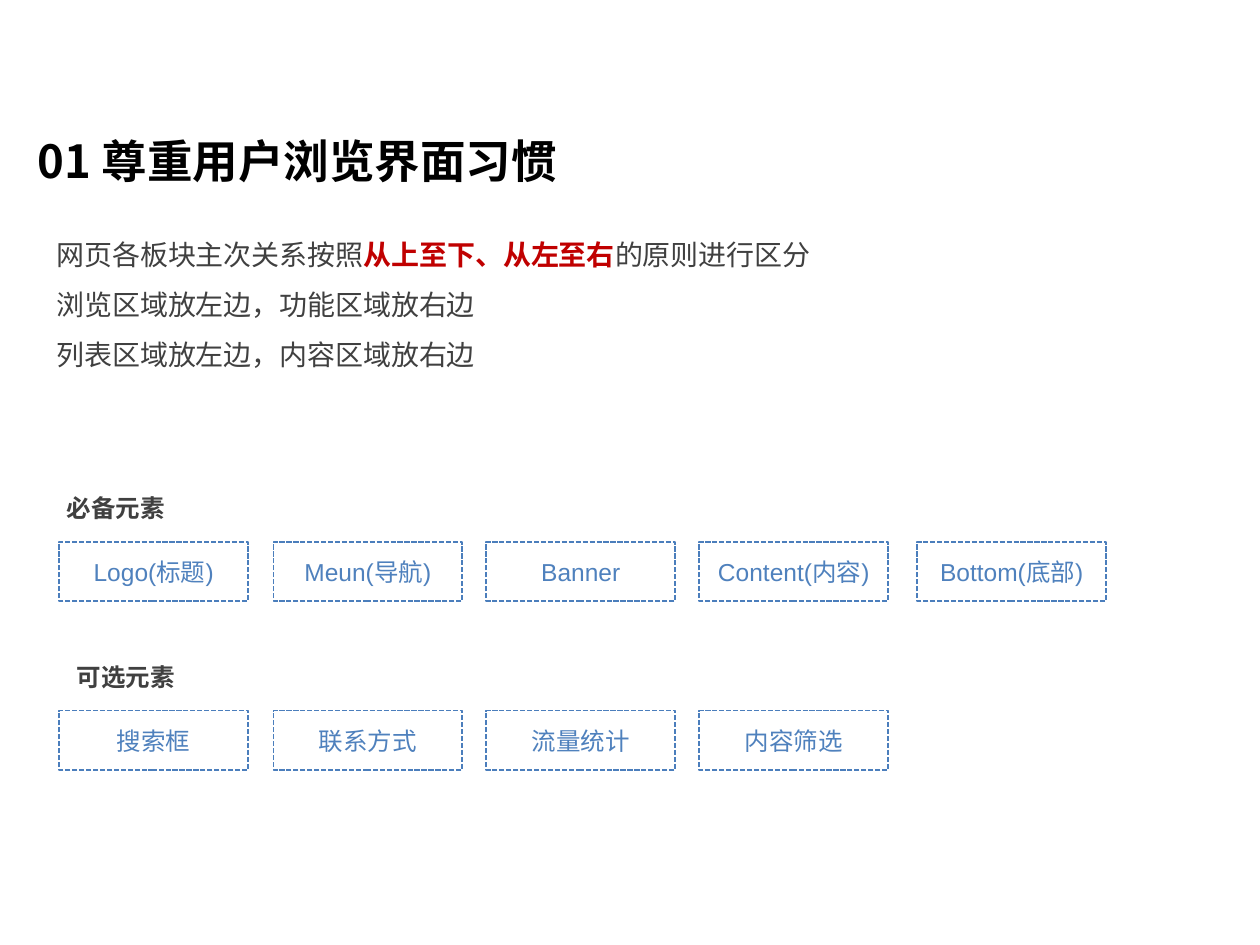
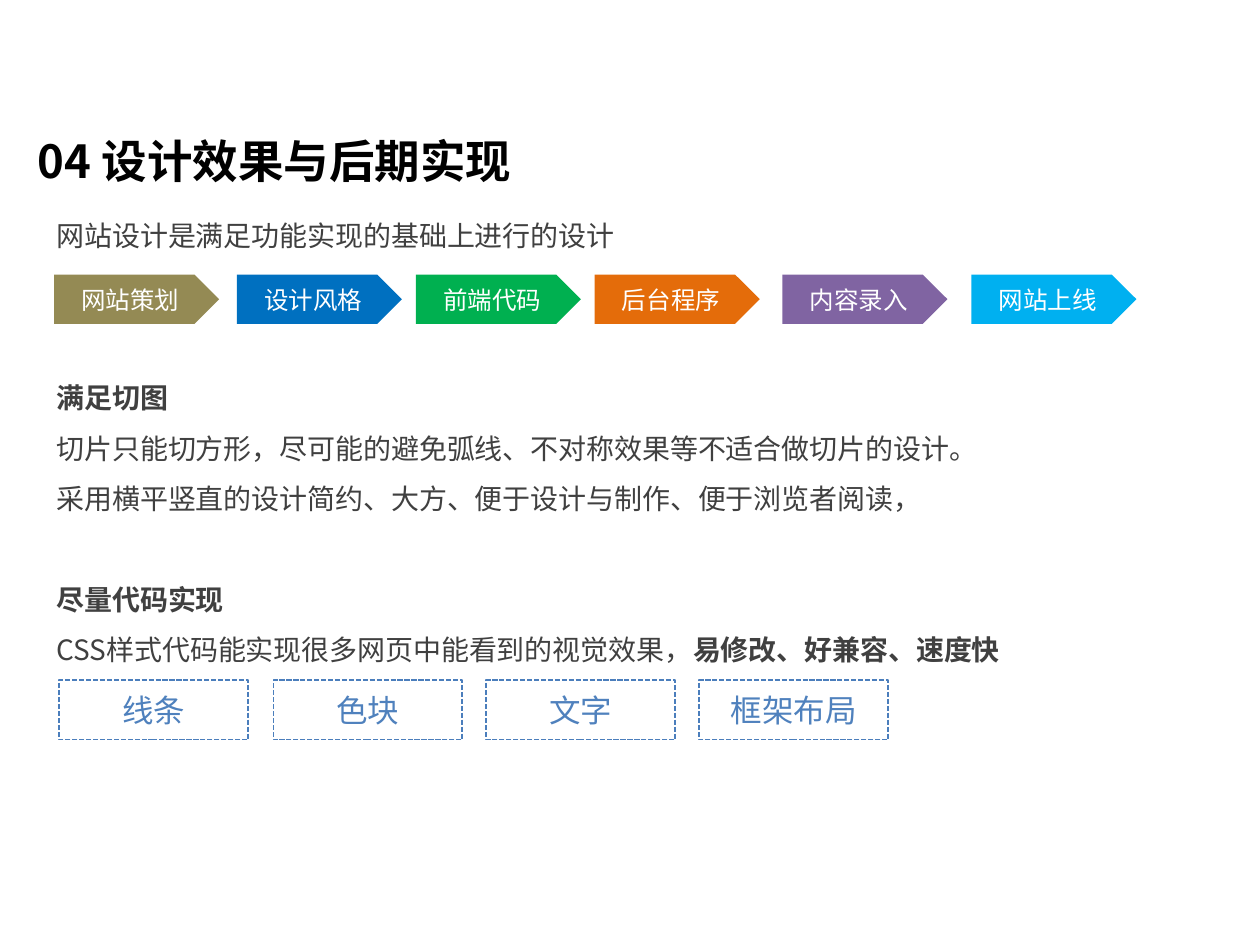
import pptx
import pptx.dml.color
import pptx.enum.dml
import pptx.enum.shapes
import pptx.enum.text
import pptx.util
from pptx.util import Inches

COLORS = {
    "title": "000000", "body": "404040", "accent": "C00000", "white": "FFFFFF",
    "box_line": "4B7EBC", "box_text": "4F81BD",
    "olive": "948A54", "blue": "0070C0", "green": "00B050",
    "orange": "E46C0A", "purple": "8064A2", "sky": "00B0F0",
}
CJK_FONT = "Noto Sans CJK SC"
BOX_FONT = "Arial"
BOX_LEFTS = (0.47, 2.17, 3.86, 5.55, 7.28)
STEP_LEFTS = (0.43, 1.88, 3.3, 4.72, 6.21, 7.71)
BLANK_LINE = 28.8


def rgb(name):
    return pptx.dml.color.RGBColor.from_string(COLORS[name])


def add_span(para, text, size=16, font=CJK_FONT, color="body", bold=False):
    span = para.add_run()
    span.text = text
    span.font.size = pptx.util.Pt(size)
    span.font.name = font
    span.font.bold = bold
    span.font.color.rgb = rgb(color)
    east_asian = span.font._element.makeelement(pptx.oxml.ns.qn("a:ea"), {"typeface": CJK_FONT})
    span.font._element.find(pptx.oxml.ns.qn("a:latin")).addnext(east_asian)


class Deck:
    def __init__(self):
        self.file = pptx.Presentation()
        self.file.slide_width = Inches(10)
        self.file.slide_height = Inches(7.5)
        self.page = None

    def new_page(self, title):
        self.page = self.file.slides.add_slide(self.file.slide_layouts[6])
        self.text((0.2, 1.01, 8.85, 0.54), [[(title, {"bold": True})]],
                  spacing=1, size=26, color="title")

    def text(self, area, lines, spacing=1.5, gaps=None, **style):
        """Each line is a list of (text, format) spans; gaps maps line index to space before."""
        frame = self.page.shapes.add_textbox(*map(Inches, area)).text_frame
        frame.word_wrap = True
        for index, line in enumerate(lines):
            para = frame.add_paragraph() if index else frame.paragraphs[0]
            para.line_spacing = spacing
            if gaps and index in gaps:
                para.space_before = pptx.util.Pt(gaps[index])
            for text, extra in line:
                add_span(para, text, **{**style, **extra})

    def label(self, area, text):
        self.text(area, [[(text, {"bold": True})]], size=14)

    def shape(self, kind, area, text, **style):
        shape = self.page.shapes.add_shape(kind, *map(Inches, area))
        shape.shadow.inherit = False
        frame = shape.text_frame
        frame.margin_left = frame.margin_right = Inches(0.05)
        frame.vertical_anchor = pptx.enum.text.MSO_ANCHOR.MIDDLE
        para = frame.paragraphs[0]
        para.alignment = pptx.enum.text.PP_ALIGN.CENTER
        add_span(para, text, font=BOX_FONT, **style)
        return shape

    def dashed_boxes(self, top, names, size=14):
        for left, name in zip(BOX_LEFTS, names):
            box = self.shape(pptx.enum.shapes.MSO_SHAPE.RECTANGLE, (left, top, 1.5, 0.47),
                             name, size=size, color="box_text")
            box.fill.background()
            box.line.color.rgb = rgb("box_line")
            box.line.width = pptx.util.Pt(1)
            box.line.dash_style = pptx.enum.dml.MSO_LINE.SQUARE_DOT

    def steps(self, top, steps):
        for left, (name, color) in zip(STEP_LEFTS, steps):
            arrow = self.shape(pptx.enum.shapes.MSO_SHAPE.PENTAGON, (left, top, 1.31, 0.39),
                               name, size=14, color="white")
            arrow.fill.solid()
            arrow.fill.fore_color.rgb = rgb(color)
            arrow.line.fill.background()


def build_habits(deck):
    deck.new_page("01 尊重用户浏览界面习惯")
    deck.text((0.35, 1.7, 9.37, 1.34), [
        [("网页各板块主次关系按照", {}),
         ("从上至下、从左至右", {"color": "accent", "bold": True}),
         ("的原则进行区分", {})],
        [("浏览区域放左边，功能区域放右边", {})],
        [("列表区域放左边，内容区域放右边", {})],
    ])
    deck.label((0.43, 3.75, 3.78, 0.41), "必备元素")
    deck.dashed_boxes(4.3, ["Logo(标题)", "Meun(导航)", "Banner", "Content(内容)", "Bottom(底部)"])
    deck.label((0.51, 5.09, 3.78, 0.45), "可选元素")
    deck.dashed_boxes(5.64, ["搜索框", "联系方式", "流量统计", "内容筛选"])


def build_implementation(deck):
    deck.new_page("04 设计效果与后期实现")
    deck.text((0.35, 1.55, 9.29, 0.55), [[("网站设计是满足功能实现的基础上进行的设计", {})]])
    deck.steps(2.18, [
        ("网站策划", "olive"), ("设计风格", "blue"), ("前端代码", "green"),
        ("后台程序", "orange"), ("内容录入", "purple"), ("网站上线", "sky"),
    ])
    deck.text((0.35, 2.84, 9.29, 2.72), [
        [("满足切图", {"bold": True})],
        [("切片只能切方形，尽可能的避免弧线、不对称效果等不适合做切片的设计。", {})],
        [("采用横平竖直的设计简约、大方、便于设计与制作、便于浏览者阅读，", {})],
        [("尽量代码实现", {"bold": True})],
        [("CSS样式代码能实现很多网页中能看到的视觉效果，", {}),
         ("易修改、好兼容、速度快", {"bold": True})],
    ], gaps={3: BLANK_LINE})
    deck.dashed_boxes(5.4, ["线条", "色块", "文字", "框架布局"], size=18)


def main():
    deck = Deck()
    build_habits(deck)
    build_implementation(deck)
    deck.file.save("out.pptx")


if __name__ == "__main__":
    main()
